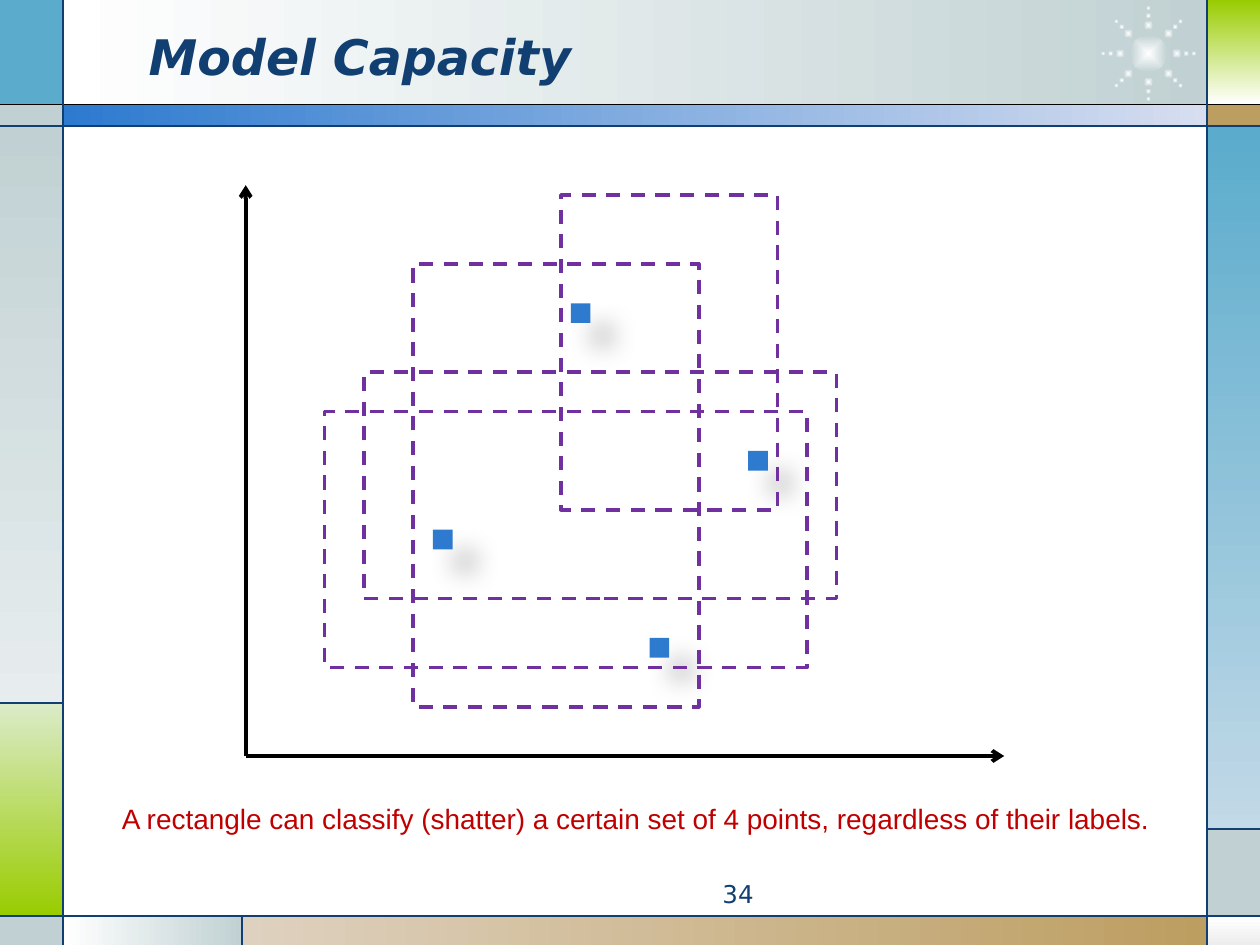
import math

from lxml import etree
from pptx import Presentation
from pptx import util as u
from pptx.dml.color import RGBColor
from pptx.enum import dml, shapes, text
from pptx.oxml import parse_xml
from pptx.oxml.ns import nsdecls, qn

COLORS = {
    "white": "FFFFFF", "black": "000000", "navy": "113F71", "blue": "2D7ACF",
    "pale_blue": "D7DEF0", "sky": "5AABCC", "pale_sky": "C2D9E7",
    "mist": "C1D1D3", "pale_mist": "E7EDEE", "green": "99CC00",
    "pale_green": "DBEBC9", "tan": "BD9E61", "pale_tan": "DED1BF",
    "silver": "EDEDED", "purple": "7030A0", "red": "C00000",
}
SLIDE_GRID = (10, 7.5)
PLOT_GRID = (77, 58)
EDGE_X = (0, 0.5, 1.92, 9.58, 10)
EDGE_Y = (0, 0.83, 1, 5.58, 6.58, 7.27, 7.5)


def rgb(name):
    """Return the named colour."""
    return RGBColor.from_string(COLORS[name])


def cell(box, grid, left, top, width, height):
    """Turn grid columns and rows inside a box into slide lengths."""
    dx, dy = box[2] / grid[0], box[3] / grid[1]
    return tuple(u.Emu(round(v)) for v in (
        box[0] + left * dx, box[1] + top * dy, width * dx, height * dy))


def add_block(slide, place, fill=None, kind=shapes.MSO_SHAPE.RECTANGLE):
    """Add a shape without line or shadow, with a solid fill or none."""
    sp = slide.shapes.add_shape(kind, *place)
    sp.shadow.inherit = False
    sp.line.fill.background()
    if fill:
        sp.fill.solid()
        sp.fill.fore_color.rgb = rgb(fill)
    else:
        sp.fill.background()
    return sp


def blend(sp, start, end, angle=0):
    """Fill a shape with a two-colour linear gradient."""
    sp.fill.gradient()
    sp.fill.gradient_angle = -angle % 360
    for stop, name, position in zip(sp.fill.gradient_stops, (start, end), (0, 1)):
        stop.color.rgb = rgb(name)
        stop.position = position


def add_rule(slide, start, end, color, width, arrow=False):
    """Add a straight line, with an arrowhead at its end if asked."""
    ln = slide.shapes.add_connector(shapes.MSO_CONNECTOR.STRAIGHT, *start, *end)
    ln.line.color.rgb = rgb(color)
    ln.line.width = u.Pt(width)
    if arrow:
        etree.SubElement(ln.line._get_or_add_ln(), qn("a:tailEnd"), type="arrow")
    etree.SubElement(ln._element.spPr, qn("a:effectLst"))


def write(tf, words, size, font, color, align, bold=None, italic=None):
    """Write one formatted run into a text frame."""
    p = tf.paragraphs[0]
    p.alignment = align
    r = p.add_run()
    r.text = words
    r.font.size, r.font.name = u.Pt(size), font
    r.font.bold, r.font.italic = bold, italic
    r.font.color.rgb = rgb(color)


def add_panels(slide, box):
    """Tile the border of the slide between the shared edges."""
    panels = [
        (1, 0, 3, 1, "white", "mist", 0),
        (0, 0, 1, 1, "sky", None, 0),
        (0, 1, 1, 2, "mist", None, 0),
        (0, 2, 1, 3, "mist", "pale_mist", 90),
        (0, 3, 1, 5, "pale_green", "green", 90),
        (0, 5, 1, 6, "mist", None, 0),
        (1, 5, 2, 6, "white", "mist", 0),
        (2, 5, 3, 6, "pale_tan", "tan", 0),
        (3, 5, 4, 6, "white", "silver", 90),
        (3, 4, 4, 5, "mist", None, 0),
        (3, 2, 4, 4, "sky", "pale_sky", 90),
        (3, 1, 4, 2, "tan", None, 0),
        (3, 0, 4, 1, "green", "white", 90),
        (1, 1, 3, 2, "blue", "pale_blue", 0),
    ]
    for x1, y1, x2, y2, start, end, angle in panels:
        left, top = EDGE_X[x1], EDGE_Y[y1]
        sp = add_block(slide, cell(box, SLIDE_GRID, left, top,
                                   EDGE_X[x2] - left, EDGE_Y[y2] - top), start)
        if end:
            blend(sp, start, end, angle)


def add_rules(slide, box):
    """Draw the thin lines along the panel edges."""
    rules = [
        (0, 1, 4, 1, "black"), (0, 2, 4, 2, "navy"), (0, 5, 4, 5, "navy"),
        (1, 0, 1, 6, "navy"), (3, 0, 3, 6, "navy"), (1, 3, 0, 3, "navy"),
        (2, 5, 2, 6, "navy"), (3, 4, 4, 4, "navy"),
    ]
    for x1, y1, x2, y2, color in rules:
        start, end = (cell(box, SLIDE_GRID, EDGE_X[x], EDGE_Y[y], 0, 0)[:2]
                      for x, y in ((x1, y1), (x2, y2)))
        add_rule(slide, start, end, color, 0.75)


def add_burst(slide, box):
    """Draw a glowing centre with eight arms of shrinking dots."""
    dots = [(0, 0, 0.4)]
    for arm in range(8):
        dots += [(arm * math.pi / 4, reach, size) for reach, size in
                 ((0.3, 0.1), (0.4, 0.06), (0.48, 0.05))]
    for angle, reach, size in dots:
        x = 0.5 + reach * math.cos(angle) - size / 2
        y = 0.5 + reach * math.sin(angle) - size / 2
        sp = add_block(slide, cell(box, (1, 1), x, y, size, size),
                       "white", shapes.MSO_SHAPE.OVAL)
        blend(sp, "white", "mist")
        grad = sp._element.spPr.find(qn("a:gradFill"))
        grad.replace(grad.find(qn("a:lin")), parse_xml(
            f'<a:path {nsdecls("a")} path="shape"><a:fillToRect '
            'l="50000" t="50000" r="50000" b="50000"/></a:path>'))


def add_plot(slide, box):
    """Draw the axes, the four points and the enclosing rectangles."""
    cols, rows = PLOT_GRID
    origin, right, top = (cell(box, PLOT_GRID, x, y, 0, 0)[:2]
                          for x, y in ((0, rows), (cols, rows), (0, 0)))
    for end in (right, top):
        add_rule(slide, origin, end, "black", 2.25, arrow=True)
    for x, y in ((33, 12), (51, 27), (41, 46), (19, 35)):
        sp = add_block(slide, cell(box, PLOT_GRID, x, y, 2, 2), "blue")
        sp._element.spPr.find(qn("a:effectLst")).append(parse_xml(
            f'<a:outerShdw {nsdecls("a")} blurRad="{u.Pt(15)}" dist="{u.Pt(18)}" '
            f'dir="2700000"><a:srgbClr val="{COLORS["black"]}">'
            '<a:alpha val="30000"/></a:srgbClr></a:outerShdw>'))
    for place in ((12, 19, 48, 23), (17, 8, 29, 45), (8, 23, 49, 26), (32, 1, 22, 32)):
        sp = add_block(slide, cell(box, PLOT_GRID, *place))
        sp.line.color.rgb = rgb("purple")
        sp.line.width = u.Pt(2)
        sp.line.dash_style = dml.MSO_LINE.DASH


def add_title(slide, box):
    """Format the title placeholder and bring it to the front."""
    sp = slide.shapes.title
    sp.left, sp.top, sp.width, sp.height = box
    slide.shapes._spTree.append(sp._element)
    tf = sp.text_frame
    tf.vertical_anchor = text.MSO_ANCHOR.MIDDLE
    write(tf, "Model Capacity", 28, "DejaVu Sans", "navy",
          text.PP_ALIGN.LEFT, bold=True, italic=True)


def add_label(slide, box, words, size, font, color, align, wrap):
    """Add a text box holding one line."""
    tf = slide.shapes.add_textbox(*box).text_frame
    tf.word_wrap = wrap
    write(tf, words, size, font, color, align)


def main():
    """Build the slide and save it."""
    prs = Presentation()
    prs.slide_width, prs.slide_height = u.Inches(10), u.Inches(7.5)
    slide = prs.slides.add_slide(prs.slide_layouts[5])
    page = (0, 0, prs.slide_width, prs.slide_height)
    add_panels(slide, page)
    add_burst(slide, cell(page, SLIDE_GRID, 8.74, 0.05, 0.75, 0.75))
    add_rules(slide, page)
    add_title(slide, cell(page, SLIDE_GRID, 1.08, 0.13, 7.33, 0.62))
    add_label(slide, cell(page, SLIDE_GRID, 3.75, 6.93, 2.33, 0.27), "34",
              14, "DejaVu Sans", "navy", text.PP_ALIGN.RIGHT, True)
    add_plot(slide, cell(page, SLIDE_GRID, 1.95, 1.47, 6.02, 4.53))
    add_label(slide, cell(page, SLIDE_GRID, 0.87, 6.31, 8.46, 0.35),
              "A rectangle can classify (shatter) a certain set of 4 points, "
              "regardless of their labels.",
              16, "Arial", "red", text.PP_ALIGN.LEFT, False)
    prs.save("out.pptx")


if __name__ == "__main__":
    main()
